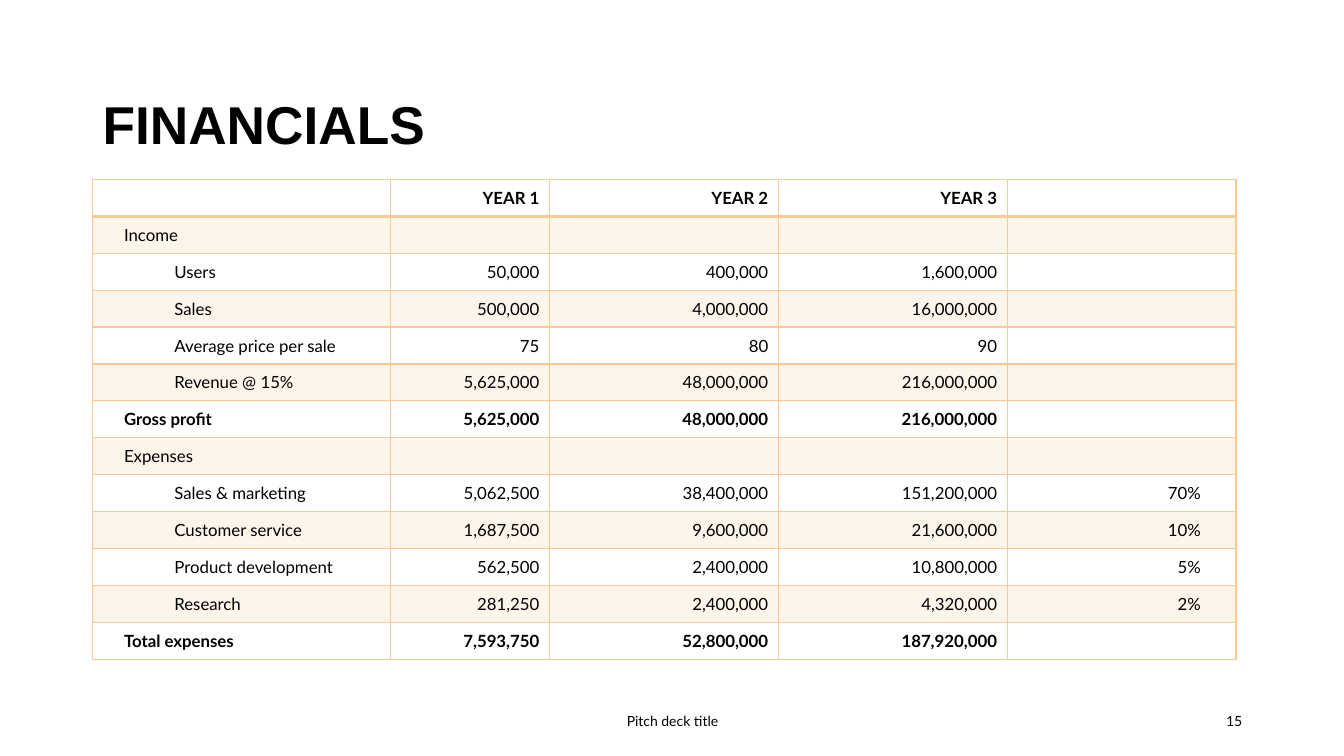
from lxml.etree import SubElement
from pptx import Presentation
from pptx.dml.color import RGBColor
from pptx.enum.text import MSO_ANCHOR as Anchor, PP_ALIGN as Align
from pptx.oxml.ns import qn
from pptx.util import Inches, Pt

BLACK = RGBColor(0x00, 0x00, 0x00)
WHITE = RGBColor(0xFF, 0xFF, 0xFF)
PEACH = RGBColor(0xF9, 0xC9, 0x96)

TITLE_FONT = {"name": "Arial", "size": Pt(38), "bold": True}
FOOTER_FONT = {"name": "Lato", "size": Pt(10), "bold": False}
CELL_FONT = {"name": "Lato", "size": Pt(12), "bold": False}

COLUMN_WIDTHS = [2.95, 1.58, 2.27, 2.27, 2.27]
FINANCIALS = [
    ["", "YEAR 1", "YEAR 2", "YEAR 3", ""],
    ["Income", "", "", "", ""],
    ["Users", "50,000", "400,000", "1,600,000", ""],
    ["Sales", "500,000", "4,000,000", "16,000,000", ""],
    ["Average price per sale", "75", "80", "90", ""],
    ["Revenue @ 15%", "5,625,000", "48,000,000", "216,000,000", ""],
    ["Gross profit", "5,625,000", "48,000,000", "216,000,000", ""],
    ["Expenses", "", "", "", ""],
    ["Sales & marketing", "5,062,500", "38,400,000", "151,200,000", "70%"],
    ["Customer service", "1,687,500", "9,600,000", "21,600,000", "10%"],
    ["Product development", "562,500", "2,400,000", "10,800,000", "5%"],
    ["Research", "281,250", "2,400,000", "4,320,000", "2%"],
    ["Total expenses", "7,593,750", "52,800,000", "187,920,000", ""],
]
BOLD_ROWS = {"", "Gross profit", "Total expenses"}
TOP_LEVEL = BOLD_ROWS | {"Income", "Expenses"}


def write_text(paragraph, text, font, align):
    paragraph.alignment = align
    run = paragraph.add_run()
    run.text = text
    for name, value in font.items():
        setattr(run.font, name, value)
    run.font.color.rgb = BLACK


def add_label(slide, box, text, font, align, anchor=Anchor.MIDDLE, line_spacing=1.0):
    shape = slide.shapes.add_textbox(*(Inches(length) for length in box))
    frame = shape.text_frame
    frame.word_wrap = True
    frame.vertical_anchor = anchor
    paragraph = frame.paragraphs[0]
    paragraph.line_spacing = line_spacing
    write_text(paragraph, text, font, align)


def set_borders(cell, bottom_width):
    properties = cell._tc.get_or_add_tcPr()
    widths = {"a:lnL": 1, "a:lnR": 1, "a:lnT": 1, "a:lnB": bottom_width}
    for side, width in widths.items():
        line = SubElement(properties, qn(side), w=str(Pt(width)))
        fill = SubElement(line, qn("a:solidFill"))
        SubElement(fill, qn("a:srgbClr"), val=str(PEACH))


def set_fill(cell, shaded):
    if not shaded:
        cell.fill.background()
        return
    cell.fill.solid()
    cell.fill.fore_color.rgb = PEACH
    color = cell._tc.tcPr.find(f"{qn('a:solidFill')}/{qn('a:srgbClr')}")
    SubElement(color, qn("a:alpha"), val="20000")


def fill_cell(cell, text, row_label, column):
    cell.vertical_anchor = Anchor.MIDDLE
    paragraph = cell.text_frame.paragraphs[0]
    if not text:
        SubElement(paragraph._p, qn("a:endParaRPr"), sz="1200")
        return
    if column == 0:
        cell.margin_left = Inches(0.31)
        if row_label not in TOP_LEVEL:
            paragraph.level = 1
            indent = paragraph._p.get_or_add_pPr()
            indent.set("marL", str(Inches(0.5)))
            indent.set("indent", "0")
    elif column == len(COLUMN_WIDTHS) - 1:
        cell.margin_right = Inches(0.35)
    font = CELL_FONT | {"bold": row_label in BOLD_ROWS}
    write_text(paragraph, text, font, Align.RIGHT if column else Align.LEFT)


def add_financials(slide, box):
    left, top, width, height = (Inches(length) for length in box)
    row_count = len(FINANCIALS)
    table = slide.shapes.add_table(
        row_count, len(COLUMN_WIDTHS), left, top, width, height
    ).table
    table.first_row = False
    table.horz_banding = False
    for column, column_width in zip(table.columns, COLUMN_WIDTHS):
        column.width = Inches(column_width)
    for row_index, values in enumerate(FINANCIALS):
        table.rows[row_index].height = height // row_count
        for column_index, text in enumerate(values):
            cell = table.cell(row_index, column_index)
            fill_cell(cell, text, values[0], column_index)
            set_borders(cell, 1 if row_index else 2)
            set_fill(cell, row_index % 2 == 1)


def add_footer(slide, top, height):
    add_label(slide, (4.42, top, 4.5, height), "Pitch deck title", FOOTER_FONT, Align.CENTER)
    add_label(slide, (9.42, top, 3, height), "15", FOOTER_FONT, Align.RIGHT)


def main():
    presentation = Presentation()
    presentation.slide_width = Inches(13.33)
    presentation.slide_height = Inches(7.5)
    slide = presentation.slides.add_slide(presentation.slide_layouts[6])
    slide.background.fill.solid()
    slide.background.fill.fore_color.rgb = WHITE
    add_label(slide, (0.92, 0.23, 11.5, 1.37), "FINANCIALS", TITLE_FONT,
              Align.LEFT, Anchor.BOTTOM, 0.9)
    add_financials(slide, (0.92, 1.78, 11.33, 4.76))
    add_footer(slide, 6.95, 0.4)
    presentation.save("out.pptx")


if __name__ == "__main__":
    main()
